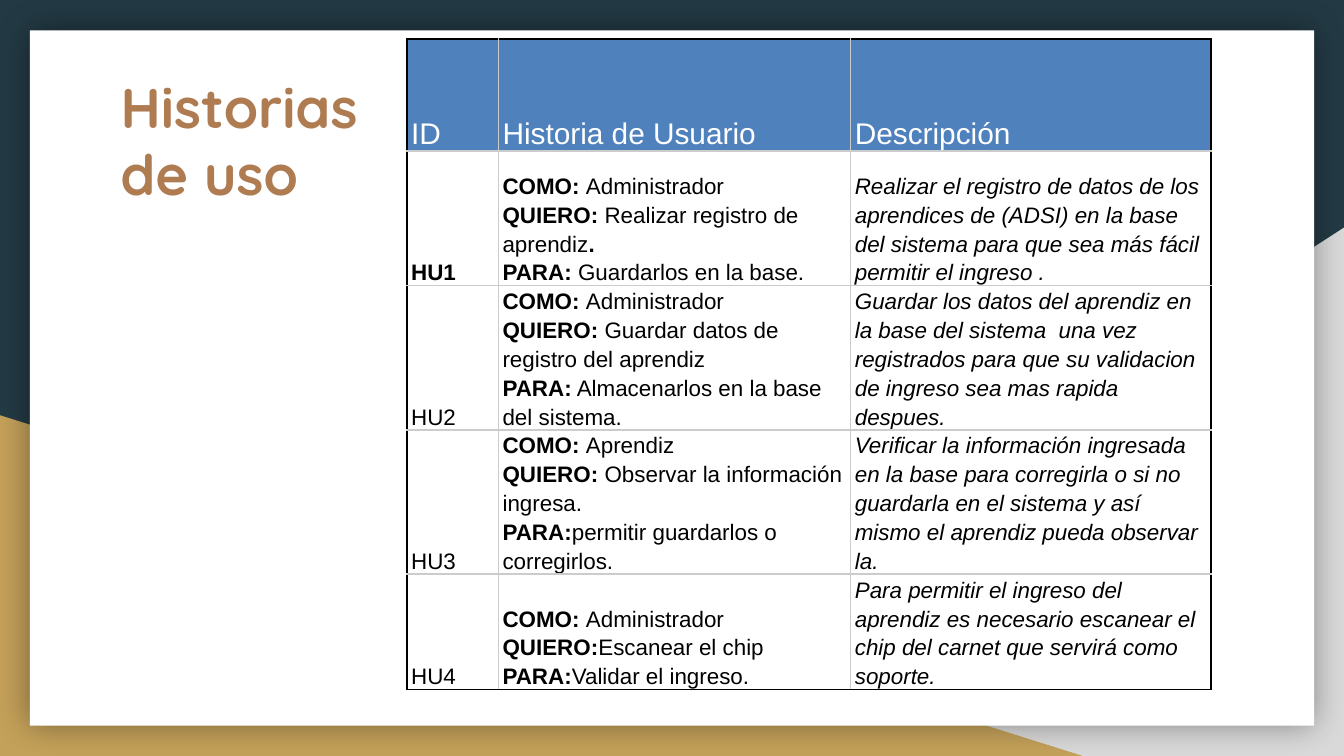
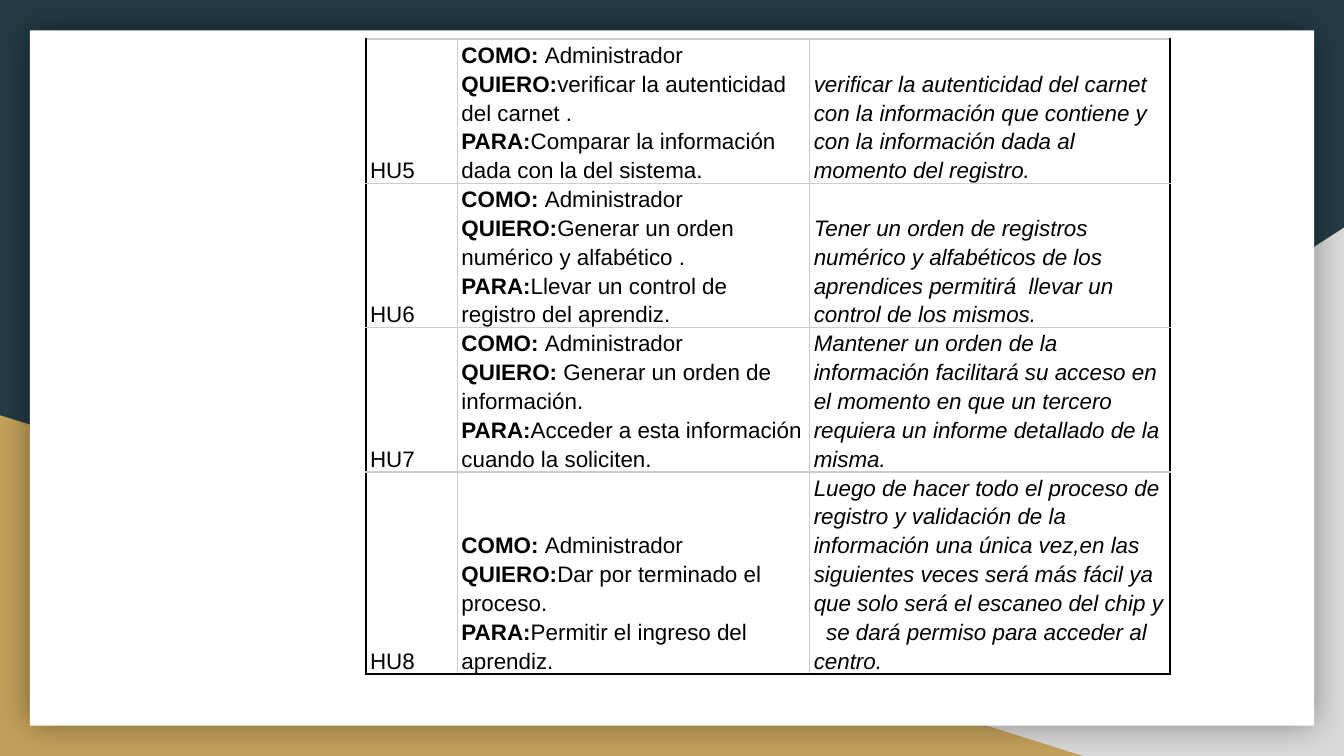
from lxml import etree
from pptx import Presentation
from pptx.dml.color import RGBColor
from pptx.enum.shapes import MSO_SHAPE
from pptx.enum.text import MSO_ANCHOR, MSO_AUTO_SIZE, PP_ALIGN
from pptx.oxml.ns import qn
from pptx.util import Pt

TRIANGLE, RECTANGLE = MSO_SHAPE.RIGHT_TRIANGLE, MSO_SHAPE.RECTANGLE
TOP, BOTTOM = MSO_ANCHOR.TOP, MSO_ANCHOR.BOTTOM
LEFT, NO_AUTOFIT = PP_ALIGN.LEFT, MSO_AUTO_SIZE.NONE
TITLE_ONLY, BLANK = 5, 6

NAVY, GOLD, GREY, WHITE, BLACK = "233A44", "C4A15A", "D9D9D9", "FFFFFF", "000000"
BROWN, HEADER_BLUE, GRID_GREY = "AF7B51", "4F81BD", "CCCCCC"
TITLE_FONT, TABLE_FONT = "Quicksand", "Arial"

PAGE_WIDTH, PAGE_HEIGHT = 720, 405
COLUMN_WIDTHS = (49, 188.75, 193)
MIN_ROW_HEIGHT = 15.75
BORDER_WIDTH = 0.94

HEADER = ("ID", "Historia de Usuario", "Descripción")

# Story lines alternate bold and plain runs, separated by "|".
FIRST_STORIES = [
    ("HU1",
     ["COMO: |Administrador", "QUIERO:| Realizar registro de aprendiz|.",
      "PARA:| Guardarlos en la base."],
     "Realizar el registro de datos de los aprendices de (ADSI) en la base del "
     "sistema para que sea más fácil permitir el ingreso ."),
    ("HU2",
     ["COMO: |Administrador", "QUIERO:| Guardar datos de registro del aprendiz",
      "PARA:| Almacenarlos en la base del sistema."],
     "Guardar los datos del aprendiz en la base del sistema  una vez registrados "
     "para que su validacion de ingreso sea mas rapida despues."),
    ("HU3",
     ["COMO: |Aprendiz", "QUIERO:| Observar la información ingresa.",
      "PARA:|permitir guardarlos o corregirlos."],
     "Verificar la información ingresada en la base para corregirla o si no "
     "guardarla en el sistema y así mismo el aprendiz pueda observar la."),
    ("HU4",
     ["COMO: |Administrador", "QUIERO:|Escanear el chip",
      "PARA:|Validar el ingreso."],
     "Para permitir el ingreso del aprendiz es necesario escanear el chip del "
     "carnet que servirá como soporte."),
]
SECOND_STORIES = [
    ("HU5",
     ["COMO: |Administrador", "QUIERO:|verificar la autenticidad del carnet .",
      "PARA:|Comparar la información dada con la del sistema."],
     "verificar la autenticidad del carnet con la información que contiene y  con "
     "la información dada al momento del registro."),
    ("HU6",
     ["COMO: |Administrador", "QUIERO:|Generar un orden numérico y alfabético .",
      "PARA:|Llevar un control de registro del aprendiz."],
     "Tener un orden de registros numérico y alfabéticos de los aprendices "
     "permitirá  llevar un control de los mismos."),
    ("HU7",
     ["COMO: |Administrador", "QUIERO:| Generar un orden de información.",
      "PARA:|Acceder a esta información cuando la soliciten."],
     "Mantener un orden de la información facilitará su acceso en el momento en "
     "que un tercero requiera un informe detallado de la misma."),
    ("HU8",
     ["COMO: |Administrador", "QUIERO:|Dar por terminado el proceso.",
      "PARA:|Permitir el ingreso del aprendiz."],
     "Luego de hacer todo el proceso de registro y validación de la información "
     "una única vez,en las siguientes veces será más fácil ya que solo será el "
     "escaneo del chip y   se dará permiso para acceder al centro."),
]


def rgb(value):
    return RGBColor.from_string(value)


def style_font(font, name, size, color, bold=False, italic=False):
    font.name, font.size = name, Pt(size)
    font.bold, font.italic = bold, italic
    font.color.rgb = rgb(color)


def add_plain_shape(page, kind, box, color):
    shape = page.shapes.add_shape(kind, *map(Pt, box))
    shape.shadow.inherit = False
    shape.fill.solid()
    shape.fill.fore_color.rgb = rgb(color)
    shape.line.fill.background()
    return shape


def add_soft_shadow(shape, blur, opacity):
    effects = shape.element.spPr.find(qn("a:effectLst"))
    shadow = etree.SubElement(effects, qn("a:outerShdw"), blurRad=str(Pt(blur)),
                              dist="0", dir="0", algn="ctr", rotWithShape="0")
    color = etree.SubElement(shadow, qn("a:srgbClr"), val=BLACK)
    etree.SubElement(color, qn("a:alpha"), val=str(opacity * 1000))


def add_backdrop(page):
    """Two corner triangles under a white sheet with a soft shadow."""
    width, height = 438, 283
    right_corner = add_plain_shape(
        page, TRIANGLE, (PAGE_WIDTH - width, PAGE_HEIGHT - height, width, height), GREY)
    right_corner.element.spPr.find(qn("a:xfrm")).set("flipH", "1")
    height = 182.5
    add_plain_shape(page, TRIANGLE, (0, PAGE_HEIGHT - height, 580, height), GOLD)
    sheet = add_plain_shape(page, RECTANGLE, (16, 16.25, 688, 372.5), WHITE)
    add_soft_shadow(sheet, blur=18, opacity=40)


def place_title(page, text, box):
    title = page.shapes.title
    title.left, title.top, title.width, title.height = map(Pt, box)
    # Bring the title in front of the backdrop.
    title.element.getparent().append(title.element)
    frame = title.text_frame
    frame.text = text
    frame.word_wrap, frame.auto_size = True, NO_AUTOFIT
    frame.vertical_anchor = TOP
    frame.margin_left = frame.margin_right = Pt(7.2)
    frame.margin_top = frame.margin_bottom = Pt(7.2)
    for para in frame.paragraphs:
        para.alignment = LEFT
        for span in para.runs:
            style_font(span.font, TITLE_FONT, 30, BROWN, bold=True)


def set_borders(cell, colors):
    """Border colours come in the order left, right, top, bottom."""
    properties = cell._tc.get_or_add_tcPr()
    for side, color in zip("LRTB", colors):
        line = etree.SubElement(properties, qn(f"a:ln{side}"), w=str(Pt(BORDER_WIDTH)))
        fill = etree.SubElement(line, qn("a:solidFill"))
        etree.SubElement(fill, qn("a:srgbClr"), val=color)


def fill_cell(cell, lines, size=12, color=BLACK, bold=False, italic=False):
    """Write one paragraph per line; runs split at "|" alternate their weight."""
    cell.vertical_anchor = BOTTOM
    cell.margin_left = cell.margin_right = Pt(2.25)
    cell.margin_top = cell.margin_bottom = 0
    frame = cell.text_frame
    for index, line in enumerate(lines):
        para = frame.add_paragraph() if index else frame.paragraphs[0]
        para.line_spacing = 1.15
        for position, text in enumerate(line.split("|")):
            span = para.add_run()
            span.text = text
            style_font(span.font, TABLE_FONT, size, color,
                       bold and position % 2 == 0, italic)


def add_story_table(page, left, top, stories, row_heights, header=None):
    row_count = len(row_heights)
    last_column = len(COLUMN_WIDTHS) - 1
    table = page.shapes.add_table(
        row_count, len(COLUMN_WIDTHS), Pt(left), Pt(top),
        Pt(sum(COLUMN_WIDTHS)), Pt(sum(row_heights))).table
    table.first_row = table.horz_banding = False
    for column, width in zip(table.columns, COLUMN_WIDTHS):
        column.width = Pt(width)
    for row, height in zip(table.rows, row_heights):
        row.height = Pt(height)

    for row in range(row_count):
        for column in range(last_column + 1):
            cell = table.cell(row, column)
            on_edge = (column == 0, column == last_column,
                       bool(header) and row == 0, row == row_count - 1)
            set_borders(cell, [BLACK if edge else GRID_GREY for edge in on_edge])
            cell.fill.background()

    if header:
        for column, label in enumerate(header):
            cell = table.cell(0, column)
            cell.fill.solid()
            cell.fill.fore_color.rgb = rgb(HEADER_BLUE)
            fill_cell(cell, [label], size=16, color=WHITE)

    for row, (code, story, description) in enumerate(stories, 1 if header else 0):
        fill_cell(table.cell(row, 0), [code], bold=code == "HU1")
        fill_cell(table.cell(row, 1), story, bold=True)
        fill_cell(table.cell(row, 2), [description], italic=True)


def add_page(deck, layout):
    page = deck.slides.add_slide(deck.slide_layouts[layout])
    add_backdrop(page)
    return page


def main():
    deck = Presentation()
    deck.slide_width, deck.slide_height = Pt(PAGE_WIDTH), Pt(PAGE_HEIGHT)
    background = deck.slide_master.background.fill
    background.solid()
    background.fore_color.rgb = rgb(NAVY)

    page = add_page(deck, TITLE_ONLY)
    place_title(page, "Historias\nde uso", (57.5, 31.5, 591, 75))
    add_story_table(page, 218, 21, FIRST_STORIES,
                    [60, 72] + [MIN_ROW_HEIGHT] * 3, HEADER)

    page = add_page(deck, BLANK)
    add_story_table(page, 196, 21, SECOND_STORIES, [MIN_ROW_HEIGHT] * 4)

    deck.save("out.pptx")


if __name__ == "__main__":
    main()
